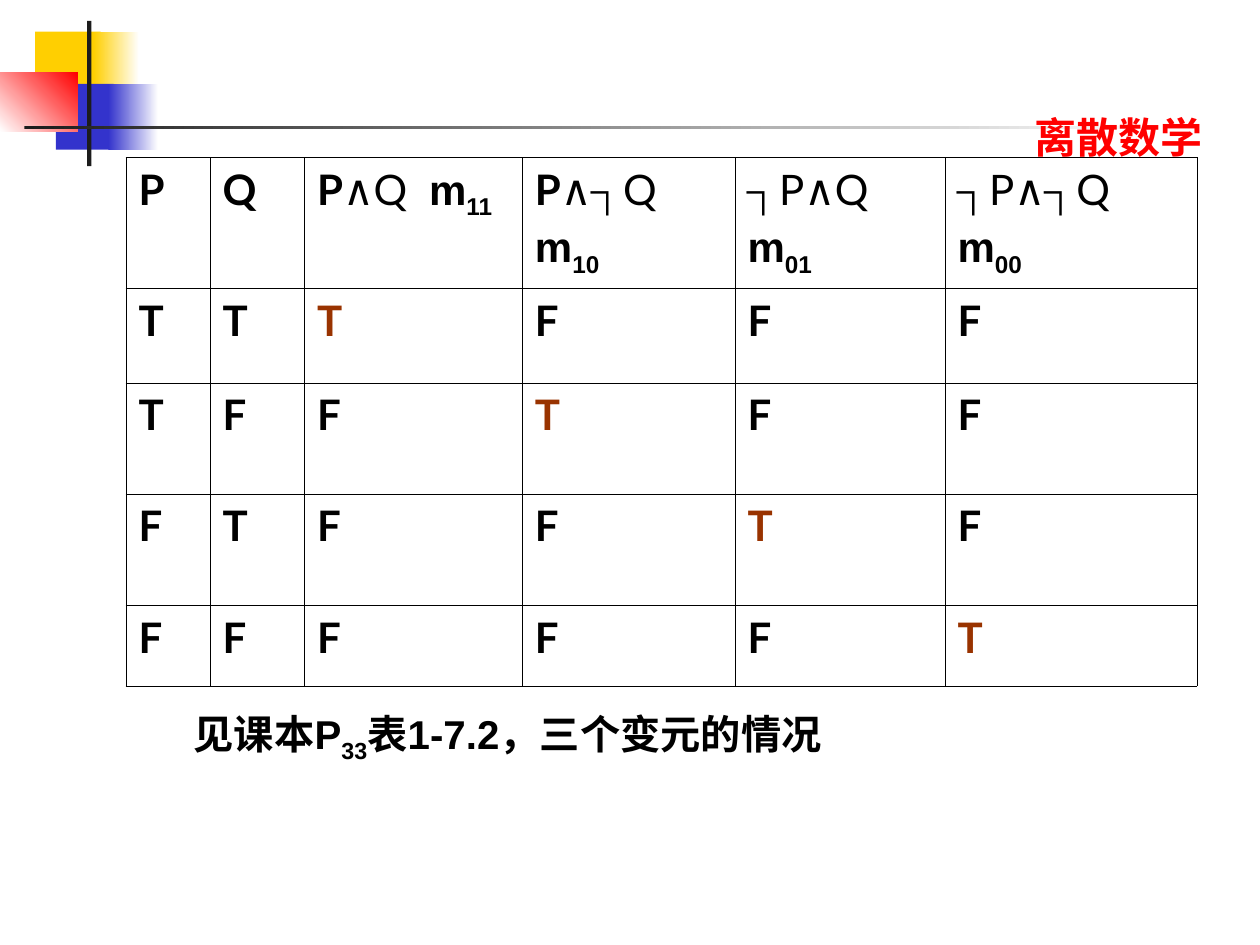
from itertools import product

from pptx import Presentation
from pptx.dml.color import RGBColor
from pptx.enum import shapes, text
from pptx.oxml import ns, xmlchemy
from pptx.util import Pt

COLORS = {
    "yellow": "FFCF01",
    "blue": "3333CC",
    "red": "FF0000",
    "ink": "1C1C1C",
    "white": "FFFFFF",
    "black": "000000",
    "true": "993300",
}
COLUMNS = [48, 54, 124.5, 121.5, 120, 144]
ROWS = [75, 54, 63.5, 63.5, 46]

# Run styles: font name, bold, subscript
STYLES = {
    "letter": ("Lato", True, False),
    "formula": ("Lato", False, False),
    "term": ("Arial", True, False),
    "index": ("Arial", True, True),
}


def minterm(index):
    return [("m", "term"), (index, "index")]


# Each heading is a list of paragraphs, each a list of (words, style) runs
HEADINGS = [
    [[("P", "letter")]],
    [[("Q", "letter")]],
    [[("P", "letter"), ("∧Q\t", "formula")] + minterm("11")],
    [[("P", "letter"), ("∧┐Q", "formula")], minterm("10")],
    [[("┐P∧Q", "formula")], minterm("01")],
    [[("┐P∧┐Q", "formula")], minterm("00")],
]


def rgb(name):
    return RGBColor.from_string(COLORS[name])


def add_child(parent, tag, **attributes):
    child = xmlchemy.OxmlElement(tag)
    for key, value in attributes.items():
        child.set(key, str(value))
    parent.append(child)
    return child


def write_para(para, runs, size, color="black"):
    para.font.size = Pt(size)
    para.font.color.rgb = rgb(color)
    same_style = len({style for _, style in runs}) == 1
    for words, style in runs:
        span = para.add_run()
        span.text = words
        name, bold, subscript = STYLES[style]
        font = para.font if same_style else span.font
        font.name, font.bold = name, bold
        if subscript:
            span.font._element.set("baseline", "-25000")


def add_block(page, box, start, end=None, angle=0):
    block = page.shapes.add_shape(shapes.MSO_SHAPE.RECTANGLE, *map(Pt, box))
    block.shadow.inherit = False
    block.line.fill.background()
    if end is None:
        block.fill.solid()
        block.fill.fore_color.rgb = rgb(start)
        return
    block.fill.gradient()
    block.fill.gradient_angle = angle
    for stop, position, color in zip(block.fill.gradient_stops, (0, 1), (start, end)):
        stop.position = position
        stop.color.rgb = rgb(color)


def add_ornament(page, left, top):
    """Overlapping squares crossed by a vertical bar and a fading rule."""
    blocks = [
        ((20, 6, 37.5, 37.5), "yellow"),
        ((53.5, 6, 26, 37.5), "yellow", "white"),
        ((32, 36, 33, 37.5), "blue"),
        ((62, 36, 28.5, 37.5), "blue", "white"),
        ((0, 29.5, 44.5, 33.5), "white", "red", 45),
        ((49.75, 0, 2.5, 83), "ink"),
        ((14, 60, 648, 2), "ink", "white"),
    ]
    for (x, y, width, height), *paint in blocks:
        add_block(page, (left + x, top + y, width, height), *paint)


def add_label(page, box, runs, size, color, align):
    label = page.shapes.add_textbox(*map(Pt, box))
    label.text_frame.word_wrap = True
    para = label.text_frame.paragraphs[0]
    para.alignment = align
    write_para(para, runs, size, color)


def format_cell(cell):
    properties = cell._tc.get_or_add_tcPr()
    for side in ("a:lnL", "a:lnR", "a:lnT", "a:lnB"):
        line = add_child(properties, side, w=Pt(0.45))
        add_child(add_child(line, "a:solidFill"), "a:srgbClr", val=COLORS["black"])
    cell.fill.background()


def write_heading(cell, paragraphs):
    frame = cell.text_frame
    for number, runs in enumerate(paragraphs):
        para = frame.add_paragraph() if number else frame.paragraphs[0]
        if number:
            para.space_before = Pt(6)
        if any("\t" in words for words, _ in runs):
            tabs = add_child(para._p.get_or_add_pPr(), "a:tabLst")
            add_child(tabs, "a:tab", pos=Pt(64), algn="l")
        write_para(para, runs, 24)


def add_truth_table(page, left, top):
    box = (left, top, sum(COLUMNS), sum(ROWS))
    frame = page.shapes.add_table(len(ROWS), len(COLUMNS), *map(Pt, box))
    table = frame.table
    for column, width in zip(table.columns, COLUMNS):
        column.width = Pt(width)
    for row, height in zip(table.rows, ROWS):
        row.height = Pt(height)
    for cell in table.iter_cells():
        format_cell(cell)

    for column, paragraphs in enumerate(HEADINGS):
        write_heading(table.cell(0, column), paragraphs)

    # Each minterm is true in exactly one row, on the diagonal
    for row, inputs in enumerate(product("TF", repeat=2)):
        minterms = ["T" if row == column else "F" for column in range(4)]
        for column, value in enumerate([*inputs, *minterms]):
            color = "true" if column == row + len(inputs) else "black"
            para = table.cell(row + 1, column).text_frame.paragraphs[0]
            write_para(para, [(value, "letter")], 24, color)


def main():
    deck = Presentation()
    deck.slide_width, deck.slide_height = Pt(720), Pt(540)
    page = deck.slides.add_slide(deck.slide_layouts[6])

    add_ornament(page, 0, 12)
    # Course name
    add_label(page, (584, 60, 210, 36), [("离散数学", "letter")], 24, "red",
              text.PP_ALIGN.LEFT)
    add_truth_table(page, 72, 90)
    # Textbook reference
    reference = [("见课本P", "term"), ("33", "index"), ("表1-7.2，三个变元的情况", "term")]
    add_label(page, (84, 402, 412.5, 39), reference, 23, "black",
              text.PP_ALIGN.CENTER)

    deck.save("out.pptx")


if __name__ == "__main__":
    main()
